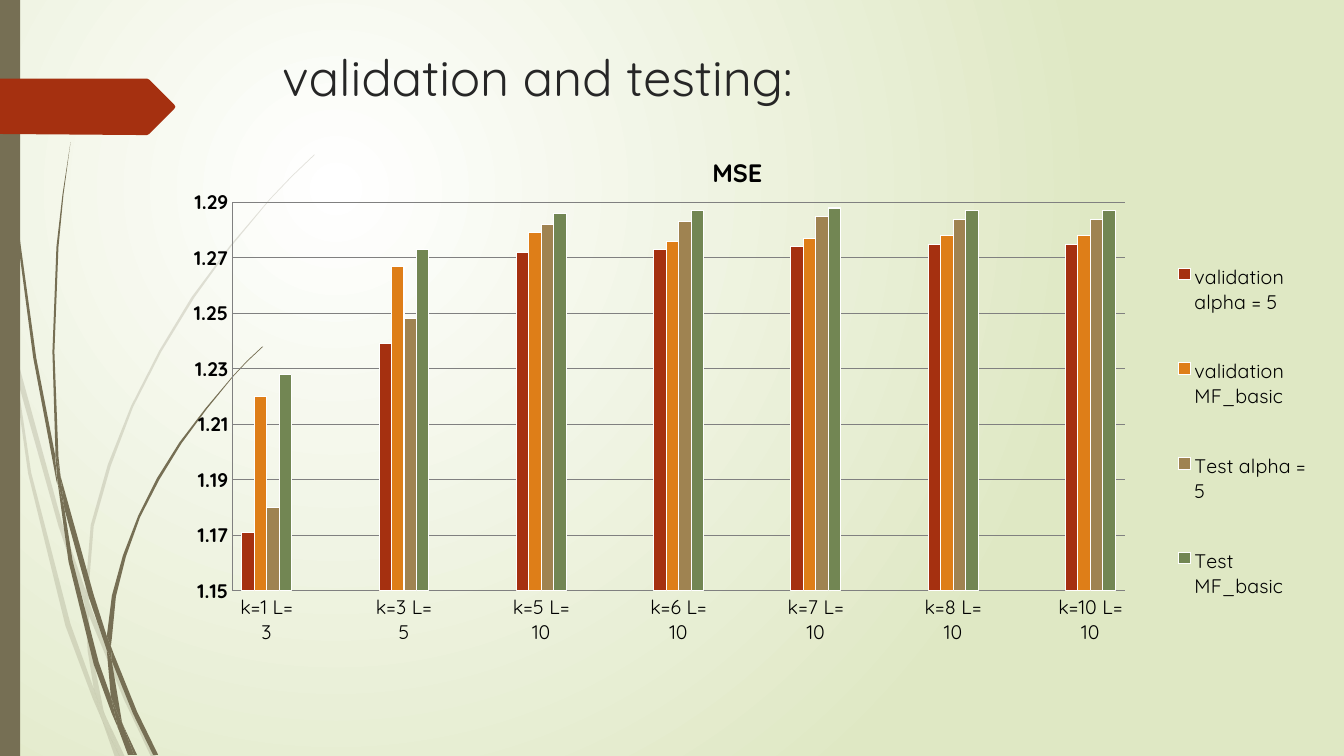
from lxml.etree import SubElement
from pptx import Presentation
from pptx.chart.data import CategoryChartData
from pptx.dml.color import RGBColor
from pptx.enum.chart import XL_CHART_TYPE as ChartType, XL_LEGEND_POSITION as LegendPos
from pptx.enum.chart import XL_TICK_MARK as TickMark
from pptx.enum.shapes import MSO_SHAPE as Preset
from pptx.enum.text import MSO_ANCHOR as Anchor, PP_ALIGN as Align
from pptx.oxml.ns import qn
from pptx.util import Pt

FONT = "Quicksand"
COLORS = {
    "white": "FFFFFF", "meadow": "DFE8C4", "stalk": "766F54", "tag": "A53010",
    "title": "262626", "text": "000000", "rule": "808080",
    "rust": "A53010", "orange": "DE7E18", "tan": "9F8351", "green": "728653",
}
GRID = Pt(0.72)  # unit of the outline coordinates below

# Outlines as x y pairs, one string per blade of grass
PALE_GRASS = [
    "11 350 9 322 0 282 0 299 10 344",
    "58 522 84 599 85 586 62 520 14 345 17 376",
    "92 607 88 596 88 610 123 694 150 751 155 751 127 692",
    "119 751 124 751 105 711",
    "93 683 70 619 31 469 17 376 11 350 28 470 65 621 92 693 101 714 99 707",
    "84 599 87 646 93 683 96 692 105 711 103 706 91 646 88 610 88 608",
    "88 584 93 522 110 462 132 404 160 349 193 295 229 245 268 198 290 175 312 154 312 153 "
    "289 175 268 197 228 244 190 295 158 348 130 403 107 461 90 521 85 584 85 586 88 596",
    "101 714 114 751 119 751",
    "88 608 88 610 88 596 85 586 84 599",
    "96 692 93 683 99 707 101 714 119 751 105 711",
]
DARK_GRASS = [
    "7 110 17 233 33 355 56 477 57 481 55 457 55 453 36 355 19 232 8 109 5 48 4 0 3 0 4 48",
    "88 592 106 645 106 633 106 631 93 590 60 472 64 505",
    "113 649 110 641 111 656 132 708 152 749 157 749 136 706",
    "110 691 98 657 72 556 64 505 57 477 68 557 93 659 111 708 117 722 116 717",
    "60 472 58 453 54 349 58 245 63 193 70 141 62 193 56 245 52 349 55 449",
    "133 749 136 749 122 719",
    "57 477 64 505 60 472 55 449 55 453",
    "111 633 115 592 125 552 139 513 158 476 180 440 205 406 231 374 245 359 261 344 260 344 "
    "245 358 231 373 204 405 178 439 156 474 137 512 122 551 111 591 106 631 110 641",
    "117 722 127 749 131 749",
    "106 645 110 691 116 706 122 719 121 716 111 656 109 651",
    "106 645 109 651 111 656 110 641 106 631 106 633",
    "116 706 110 691 116 717 117 722 130 749 133 749 122 719",
]
TAG = "173 108 148 133 146 134 136 134 0 133 0 78 136 78 146 78 148 79 173 104 174 106"

SETTINGS = ["k=1 L= 3", "k=3 L= 5", "k=5 L= 10", "k=6 L= 10", "k=7 L= 10", "k=8 L= 10", "k=10 L= 10"]
# name, colour, value in the spacer categories, errors
MSE = [
    ("validation alpha = 5", "rust", 0, [1.171, 1.239, 1.272, 1.273, 1.274, 1.275, 1.275]),
    ("validation MF_basic", "orange", None, [1.22, 1.267, 1.279, 1.276, 1.277, 1.278, 1.278]),
    ("Test alpha = 5", "tan", 0, [1.18, 1.248, 1.282, 1.283, 1.285, 1.284, 1.284]),
    ("Test MF_basic", "green", None, [1.228, 1.273, 1.286, 1.287, 1.288, 1.287, 1.287]),
]


def rgb(name):
    return RGBColor.from_string(COLORS[name])


def style_font(font, size, color="text", bold=False):
    font.name, font.size, font.bold = FONT, Pt(size), bold
    font.color.rgb = rgb(color)


def paint(shape, color):
    shape.shadow.inherit = False
    shape.fill.solid()
    shape.fill.fore_color.rgb = rgb(color)
    shape.line.fill.background()


def add_outline(slide, outline, color, alpha=None):
    numbers = [int(n) for n in outline.split()]
    start, *rest = zip(numbers[::2], numbers[1::2])
    builder = slide.shapes.build_freeform(*start, scale=GRID)
    builder.add_line_segments(rest, close=True)
    shape = builder.convert_to_shape()
    paint(shape, color)
    if alpha:
        solid = shape.element.spPr.find(qn("a:solidFill"))
        SubElement(solid[0], qn("a:alpha"), val=str(alpha * 1000))
    return shape


def add_grass(slide, blades, alpha=None):
    slide.shapes.add_group_shape([add_outline(slide, blade, "stalk", alpha) for blade in blades])


def set_background(slide):
    fill = slide.background.fill
    fill.gradient()
    for stop, color in zip(fill.gradient_stops, ("white", "meadow")):
        stop.color.rgb = rgb(color)
    gradient = next(slide.element.iter(qn("a:gradFill")))
    linear = gradient.find(qn("a:lin"))
    circle = SubElement(gradient, qn("a:path"), path="circle")
    SubElement(circle, qn("a:fillToRect"), l="50000", t="50000", r="100000", b="100000")
    gradient.replace(linear, circle)


def set_title(slide, text):
    title = slide.shapes.title
    title.left, title.top, title.width, title.height = Pt(194.4), Pt(26), Pt(702), Pt(57.6)
    title.text_frame.vertical_anchor = Anchor.MIDDLE
    paragraph = title.text_frame.paragraphs[0]
    paragraph.alignment = Align.LEFT
    run = paragraph.add_run()
    run.text = text
    style_font(run.font, 36, "title")


def place_part(part, index, box, inner=False):
    """Fix a chart part at x, y, w, h, as shares of the chart."""
    for old in part.findall(qn("c:layout")):
        part.remove(old)
    layout = SubElement(part, qn("c:layout"))
    part.insert(index, layout)
    manual = SubElement(layout, qn("c:manualLayout"))
    if inner:
        SubElement(manual, qn("c:layoutTarget"), val="inner")
    for side in "xy":
        SubElement(manual, qn(f"c:{side}Mode"), val="edge")
    for side, share in zip("xywh", box):
        SubElement(manual, qn(f"c:{side}"), val=str(share))


def with_spacers(values, spacer):
    return [item for value in values for item in (value, spacer)][:-1]


def style_axis(axis, bold=False):
    axis.major_tick_mark = axis.minor_tick_mark = TickMark.NONE
    axis.format.line.color.rgb = rgb("rule")
    style_font(axis.tick_labels.font, 14, bold=bold)


def add_mse_chart(slide):
    data = CategoryChartData()
    data.categories = with_spacers(SETTINGS, "")
    for name, _, spacer, errors in MSE:
        data.add_series(name, with_spacers(errors, spacer))
    chart = slide.shapes.add_chart(ChartType.COLUMN_CLUSTERED, Pt(107.3), Pt(95), Pt(838.8), Pt(414), data).chart
    style_font(chart.font, 18)

    chart.has_title = True
    heading = chart.chart_title.text_frame.paragraphs[0].add_run()
    heading.text = "MSE"
    style_font(heading.font, 18, bold=True)
    chart.chart_title.include_in_layout = False

    # Columns
    columns = chart.plots[0]
    columns.gap_width, columns.overlap = 150, 0
    columns.vary_by_categories = False
    for series, (_, color, _, _) in zip(columns.series, MSE):
        series.format.fill.solid()
        series.format.fill.fore_color.rgb = rgb(color)
        series.format.line.color.rgb = rgb("white")
        series.format.line.width = Pt(0.75)

    # Axes
    style_axis(chart.category_axis)
    errors_axis = chart.value_axis
    style_axis(errors_axis, bold=True)
    errors_axis.minimum_scale, errors_axis.maximum_scale, errors_axis.major_unit = 1.15, 1.29, 0.02
    errors_axis.major_gridlines.format.line.color.rgb = rgb("rule")

    # Legend and plot places
    chart.has_legend = True
    chart.legend.position = LegendPos.RIGHT
    chart.legend.include_in_layout = False
    style_font(chart.legend.font, 14)
    place_part(chart.element.find(".//" + qn("c:legend")), 1, (0.87, 0.15, 0.12, 0.73))
    place_part(chart.element.find(".//" + qn("c:plotArea")), 0, (0.07, 0.12, 0.76, 0.67), inner=True)


def main():
    deck = Presentation()
    deck.slide_width, deck.slide_height = Pt(960), Pt(540)
    slide = deck.slides.add_slide(deck.slide_layouts[5])
    set_background(slide)

    # Decoration on the left
    add_grass(slide, PALE_GRASS, alpha=20)
    add_grass(slide, DARK_GRASS)
    paint(slide.shapes.add_shape(Preset.RECTANGLE, 0, 0, Pt(14.4), Pt(540)), "stalk")
    add_outline(slide, TAG, "tag")

    # Content
    set_title(slide, "validation and testing:")
    add_mse_chart(slide)
    deck.save("out.pptx")


main()
